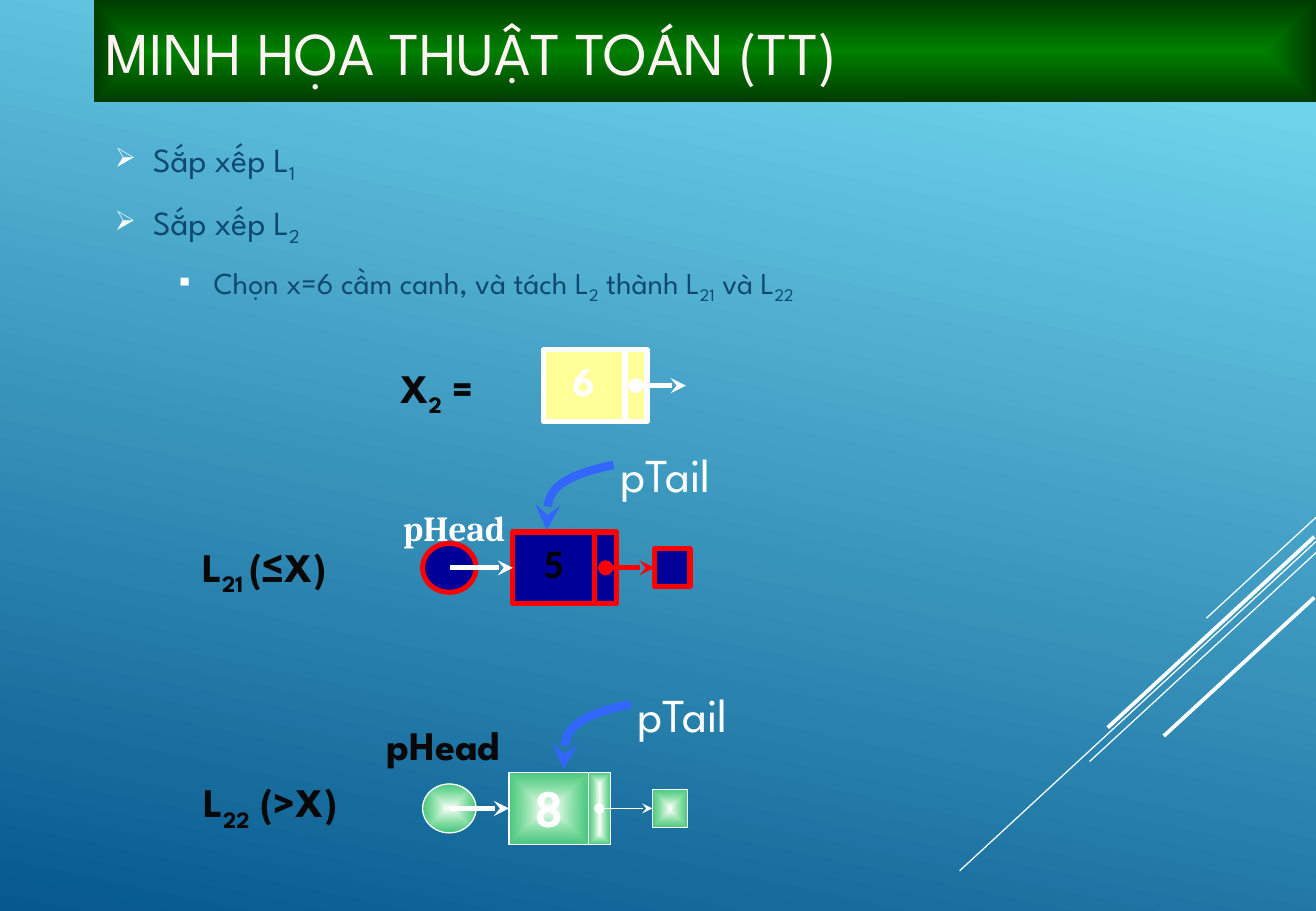
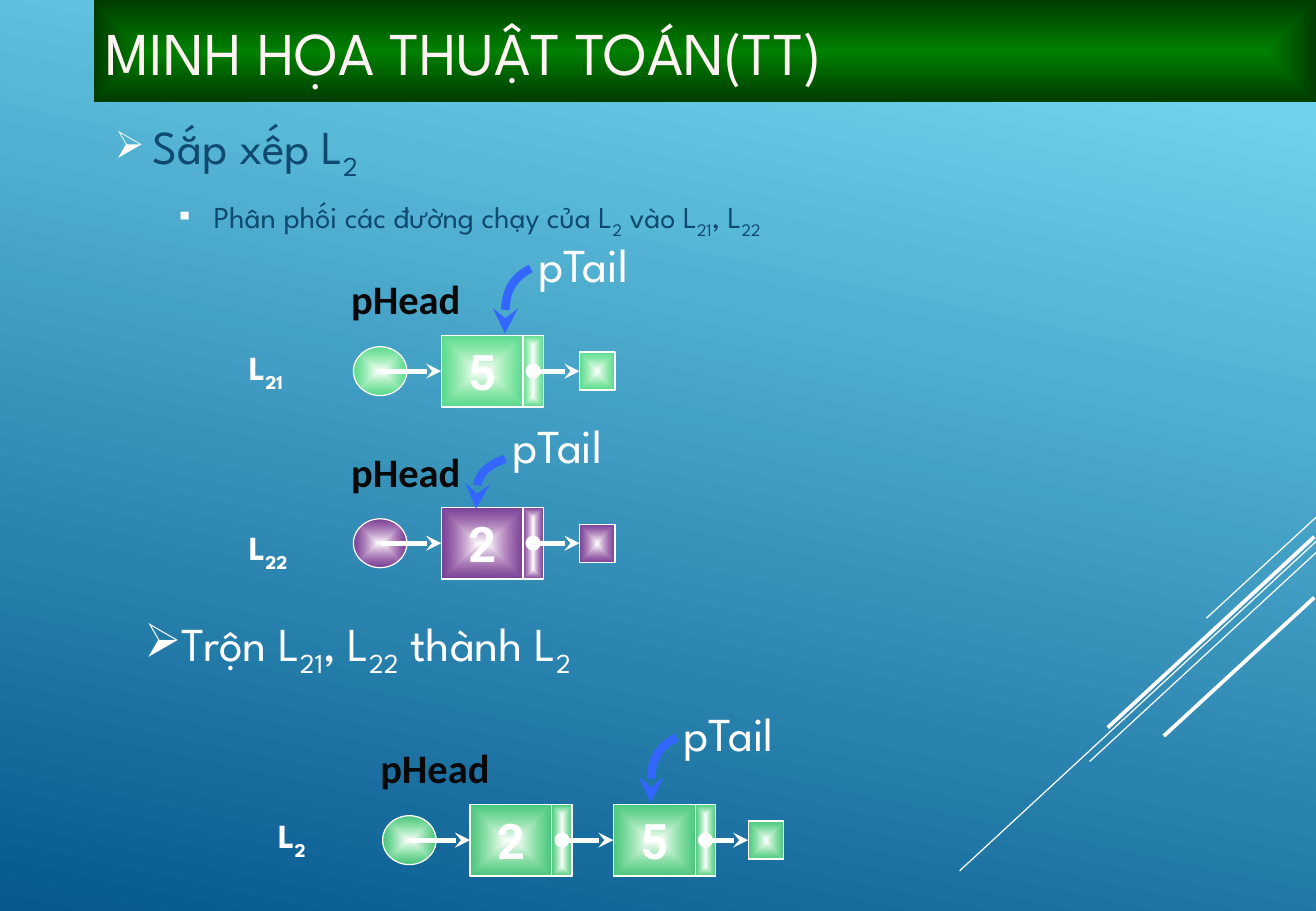
from dataclasses import dataclass
from typing import Optional

import pptx
import pptx.dml.color
import pptx.enum.shapes
import pptx.enum.text
import pptx.oxml
import pptx.oxml.ns
import pptx.util
from lxml import etree

Pt = pptx.util.Pt
RGBColor = pptx.dml.color.RGBColor
Shape = pptx.enum.shapes.MSO_SHAPE
Align = pptx.enum.text.PP_ALIGN
Anchor = pptx.enum.text.MSO_ANCHOR
qn = pptx.oxml.ns.qn

# Colours and fonts
WHITE = RGBColor(0xFF, 0xFF, 0xFF)
BLACK = RGBColor(0, 0, 0)
INK = RGBColor(0x08, 0x08, 0x08)
SKY = RGBColor(0x6E, 0xD2, 0xEB)
DEEP_BLUE = RGBColor(0x06, 0x58, 0x8E)
BODY_BLUE = RGBColor(0x0F, 0x49, 0x6F)
TITLE_PINK = RGBColor(0xFF, 0xF3, 0xF3)
BAND_GREEN = RGBColor(0, 0x80, 0)
BAND_EDGE = RGBColor(0, 0x3B, 0)
NAVY = RGBColor(0, 0, 0x99)
RED = RGBColor(0xFF, 0, 0)
YELLOW = RGBColor(0xFF, 0xFF, 0x99)
LIME = RGBColor(0x69, 0xFF, 0x69)
PURPLE = RGBColor(0xA5, 0x0E, 0x82)
CURVE_BLUE = RGBColor(0x33, 0x66, 0xFF)
SPARTAN, CALIBRI, CAMBRIA, ROBOTO = "League Spartan", "Calibri", "Cambria", "Roboto"

# Sizes shared by all list drawings
SLIDE_WIDTH, SLIDE_HEIGHT = 780, 540
CELL_HEIGHT = 42.5
CIRCLE_WIDTH, CIRCLE_HEIGHT = 31.7, 29
END_WIDTH, END_HEIGHT = 21, 22.5
HEAD_START = 16.5
DECOR_LINES = (
    (780, 306.7, 715, 366.5, 0.75), (780, 321, 568.8, 516.2, 0.75),
    (780, 327.6, 645.8, 451.4, 0.75), (779, 318.2, 656.6, 431.3, 2.25),
    (779, 354.2, 689.8, 436.3, 2.25),
)
# Control points of the pTail curve inside a unit square
CURVES = (((1, 0), (0.66, 0.07), (0.34, 0.17), (0.17, 0.34)),
          ((0.17, 0.34), (0, 0.49), (0.01, 0.74), (0.01, 1)))
CURVE_STEPS = 10


@dataclass(frozen=True)
class Look:
    fill: RGBColor
    glow: bool = False
    rim: RGBColor = WHITE
    rim_width: float = 0.75
    link_width: float = 3
    text: RGBColor = WHITE
    size: float = 29
    font: str = ROBOTO


@dataclass(frozen=True)
class Label:
    text: str
    left: float
    top: float
    width: float
    height: float
    size: float = 24
    font: str = SPARTAN
    color: RGBColor = INK
    bold: bool = True
    framed: bool = False  # default margins and left alignment


@dataclass(frozen=True)
class Tail:
    left: float
    top: float
    drop: float
    width: float
    height: float


@dataclass(frozen=True)
class ListRow:
    middle: float
    look: Look
    cells: tuple[tuple[str, float], ...]
    labels: tuple[Label, ...]
    data_width: float = 48.5
    link_width: float = 12
    circle: Optional[float] = None
    end: Optional[float] = None
    tail: Optional[Tail] = None


@dataclass(frozen=True)
class Bullet:
    text: str
    size: float
    level: int = 0


GREEN_LOOK = Look(LIME, glow=True)
THIN_LOOK = Look(LIME, glow=True, link_width=0.75)
PURPLE_LOOK = Look(PURPLE, glow=True)
YELLOW_LOOK = Look(YELLOW, rim_width=3, size=24, font=SPARTAN)
NAVY_LOOK = Look(NAVY, rim=RED, rim_width=3, text=BLACK, size=24, font=CALIBRI)


def add_text(frame, text: str, *, size: float, font: str = SPARTAN,
             color: RGBColor = WHITE, bold: bool = False, align=Align.LEFT,
             bullet: str = "", bullet_percent: int = 100, margin: float = 0,
             hang: float = 0, before: float = 0, after: float = 0) -> None:
    """Add a paragraph; every second part between bars is subscript."""
    first = not frame.paragraphs[0].runs
    para = frame.paragraphs[0] if first else frame.add_paragraph()
    para.alignment = align
    para.space_before = Pt(0 if first else before)
    para.space_after = Pt(after)
    if bullet:
        props = para._p.get_or_add_pPr()
        props.set("marL", str(Pt(margin)))
        props.set("indent", str(-Pt(hang)))
        tint = etree.SubElement(props, qn("a:buClr"))
        etree.SubElement(tint, qn("a:srgbClr"), val=str(WHITE))
        etree.SubElement(props, qn("a:buSzPct"), val=str(bullet_percent * 1000))
        etree.SubElement(props, qn("a:buChar"), char=bullet)
    for index, part in enumerate(text.split("|")):
        if not part:
            continue
        span = para.add_run()
        span.text = part
        span.font.size, span.font.name, span.font.bold = Pt(size), font, bold
        span.font.color.rgb = color
        if index % 2:
            span._r.get_or_add_rPr().set("baseline", "-25000")


def fill_glow(shape, center: RGBColor, edge: RGBColor, edge_alpha: int = 100) -> None:
    """Fill from the centre outwards."""
    shape.fill.gradient()
    for stop, color, position in zip(shape.fill.gradient_stops, (center, edge), (0, 1)):
        stop.color.rgb, stop.position = color, position
    gradient = shape.element.spPr.find(qn("a:gradFill"))
    if edge_alpha < 100:
        tint = gradient.findall(".//" + qn("a:srgbClr"))[-1]
        etree.SubElement(tint, qn("a:alpha"), val=str(edge_alpha * 1000))
    gradient.remove(gradient.find(qn("a:lin")))
    route = etree.SubElement(gradient, qn("a:path"), path="shape")
    etree.SubElement(route, qn("a:fillToRect"), l="50000", t="50000", r="50000", b="50000")


def add_arrowheads(item, head: str = "", tail: str = "") -> None:
    outline = item.element.spPr.find(qn("a:ln"))
    for tag, kind in (("a:headEnd", head), ("a:tailEnd", tail)):
        if kind:
            etree.SubElement(outline, qn(tag), type=kind)


def add_line(page, x1: float, y1: float, x2: float, y2: float, *, width: float,
             color: RGBColor = WHITE, head: str = "", tail: str = "", target=None):
    line = page.shapes.add_connector(pptx.enum.shapes.MSO_CONNECTOR.STRAIGHT,
                                     Pt(x1), Pt(y1), Pt(x2), Pt(y2))
    if target is not None:
        line.end_connect(target, 1)
    line.line.color.rgb, line.line.width = color, Pt(width)
    add_arrowheads(line, head, tail)
    etree.SubElement(line.element.spPr, qn("a:effectLst"))


def add_box(page, kind, left: float, middle: float, width: float, height: float, look: Look):
    """Add a list part centred on the row's middle line."""
    box = page.shapes.add_shape(kind, Pt(left), Pt(middle - height / 2), Pt(width), Pt(height))
    box.shadow.inherit = False
    if look.glow:
        fill_glow(box, WHITE, look.fill, 60)
    else:
        box.fill.solid()
        box.fill.fore_color.rgb = look.fill
    box.line.color.rgb, box.line.width = look.rim, Pt(look.rim_width)
    return box


def add_frame(page, left: float, top: float, width: float, height: float):
    frame = page.shapes.add_textbox(Pt(left), Pt(top), Pt(width), Pt(height)).text_frame
    frame.word_wrap = True
    return frame


def add_label(page, label: Label) -> None:
    frame = add_frame(page, label.left, label.top, label.width, label.height)
    if not label.framed:
        frame.margin_left = frame.margin_right = frame.margin_top = frame.margin_bottom = 0
    add_text(frame, label.text, size=label.size, font=label.font, color=label.color,
             bold=label.bold, align=Align.LEFT if label.framed else Align.CENTER)


def add_tail(page, tail: Tail) -> None:
    add_label(page, Label("pTail", tail.left, tail.top, 62, 31, 28, color=WHITE, bold=False))
    points = []
    for controls in CURVES:
        for step in range(CURVE_STEPS + 1):
            t = step / CURVE_STEPS
            weights = ((1 - t) ** 3, 3 * t * (1 - t) ** 2, 3 * t * t * (1 - t), t ** 3)
            x, y = (sum(w * c[axis] for w, c in zip(weights, controls)) for axis in (0, 1))
            points.append((Pt(tail.left + (x - 1) * tail.width),
                           Pt(tail.top + tail.drop + y * tail.height)))
    builder = page.shapes.build_freeform(*points[0])
    builder.add_line_segments(points[1:], close=False)
    curve = builder.convert_to_shape()
    curve.shadow.inherit = False
    curve.fill.background()
    curve.line.color.rgb, curve.line.width = CURVE_BLUE, Pt(5)
    add_arrowheads(curve, tail="stealth")


def add_row(page, row: ListRow) -> None:
    look, middle = row.look, row.middle
    stops = []
    for value, left in row.cells:
        add_box(page, Shape.RECTANGLE, left + row.data_width, middle,
                row.link_width, CELL_HEIGHT, look)
        data = add_box(page, Shape.RECTANGLE, left, middle, row.data_width, CELL_HEIGHT, look)
        data.text_frame.vertical_anchor = Anchor.TOP
        add_text(data.text_frame, value, size=look.size, font=look.font,
                 color=look.text, bold=True, align=Align.CENTER)
        stops.append(data)
    if row.end is not None:
        stops.append(add_box(page, Shape.RECTANGLE, row.end, middle, END_WIDTH, END_HEIGHT, look))
    if row.circle is not None:
        add_box(page, Shape.OVAL, row.circle, middle, CIRCLE_WIDTH, CIRCLE_HEIGHT, look)
        add_line(page, row.circle + HEAD_START, middle, row.cells[0][1], middle,
                 width=3, tail="stealth", target=stops[0])
    for index, (_, left) in enumerate(row.cells):
        start = left + row.data_width + row.link_width / 2
        target = stops[index + 1] if index + 1 < len(stops) else None
        add_line(page, start, middle, start + 29.5, middle, width=look.link_width,
                 color=look.rim, head="oval", tail="stealth", target=target)
    for label in row.labels:
        add_label(page, label)
    if row.tail:
        add_tail(page, row.tail)


def add_page(deck, title: str, body_height: float, bullets: list[Bullet], rows: list[ListRow]):
    page = deck.slides.add_slide(deck.slide_layouts[6])
    for x1, y1, x2, y2, width in DECOR_LINES:
        add_line(page, x1, y1, x2, y2, width=width)
    # Title band
    band = page.shapes.add_shape(Shape.RECTANGLE, Pt(55.5), 0, Pt(SLIDE_WIDTH - 55.5), Pt(60.5))
    band.shadow.inherit = False
    band.line.fill.background()
    fill_glow(band, BAND_GREEN, BAND_EDGE)
    band.text_frame.vertical_anchor = Anchor.MIDDLE
    add_text(band.text_frame, title, size=36, color=TITLE_PINK)
    # Body bullets
    frame = add_frame(page, 61, 60.5, 718.5, body_height)
    frame.vertical_anchor = Anchor.MIDDLE
    for item in bullets:
        add_text(frame, item.text, size=item.size, color=BODY_BLUE, bullet="➢▪"[item.level],
                 bullet_percent=80, margin=22.5 + 36 * item.level, hang=22.5,
                 before=item.size * 0.2, after=6)
    for row in rows:
        add_row(page, row)
    return page


def main() -> None:
    deck = pptx.Presentation()
    deck.slide_width, deck.slide_height = Pt(SLIDE_WIDTH), Pt(SLIDE_HEIGHT)
    # Shared background
    backdrop = deck.slide_master.background.fill
    backdrop.gradient()
    backdrop.gradient_angle = 360 - 102
    for stop, color, position in zip(backdrop.gradient_stops, (SKY, DEEP_BLUE), (0.1, 1)):
        stop.color.rgb, stop.position = color, position

    # Splitting L2
    add_page(deck, "MINH HỌA THUẬT TOÁN (TT)", 142, [
        Bullet("Sắp xếp L|1", 20), Bullet("Sắp xếp L|2", 20),
        Bullet("Chọn x=6 cầm canh, và tách L|2| thành L|21| và L|22", 18, 1),
    ], [
        ListRow(228.6, YELLOW_LOOK, (("6", 322),), (Label("X|2| =", 228, 215.3, 62, 31),),
                link_width=13),
        ListRow(336.6, NAVY_LOOK, (("5", 304),),
                (Label("L|21 |(≤X)", 103.7, 321, 106, 32.5),
                 Label("|pHead", 215.3, 275.8, 108, 51, 36, CAMBRIA, WHITE)),
                link_width=13, circle=250.5, end=388, tail=Tail(363.6, 264.2, 11.5, 40, 38.5)),
        ListRow(479.2, THIN_LOOK, (("8", 301.7),),
                (Label("L|22| (>X)", 107.3, 460.8, 106, 29.5),
                 Label("pHead", 220.3, 427, 85, 34)),
                data_width=47, link_width=13, circle=250.5, end=386.6,
                tail=Tail(373.7, 406, 11.5, 40, 38.5)),
    ])

    # Distributing and merging
    page = add_page(deck, "MINH HỌA THUẬT TOÁN(TT)", 90.7, [
        Bullet("Sắp xếp L|2", 28),
        Bullet("Phân phối các đường chạy của L|2| vào L|21|, L|22", 18, 1),
    ], [
        ListRow(220, GREEN_LOOK, (("5", 261.5),),
                (Label("pHead", 198, 162.7, 85, 33, font=CALIBRI),
                 Label("L|21", 140.4, 202.3, 51, 31, 20, color=WHITE, framed=True)),
                circle=209.5, end=343.5, tail=Tail(314.6, 139.7, 19.5, 15.5, 38.5)),
        ListRow(322, PURPLE_LOOK, (("2", 261.5),),
                (Label("pHead", 198, 265, 85, 33, font=CALIBRI),
                 Label("L|22", 140.4, 309, 51, 31, 20, color=WHITE, framed=True)),
                circle=209.5, end=343.5, tail=Tail(299.5, 247, 25, 17.5, 29.5)),
        ListRow(498, GREEN_LOOK, (("2", 278.6), ("5", 363.6)),
                (Label("pHead", 215.3, 440.6, 85, 33, font=CALIBRI),
                 Label("L|2", 157.7, 479.5, 51, 31, 20, color=WHITE, framed=True)),
                circle=226.8, end=443.5, tail=Tail(401, 417.6, 19.5, 15.5, 38.5)),
    ])
    add_text(add_frame(page, 78.5, 360.7, 641, 41), "Trộn L|21|, L|22| thành L|2",
             size=28, bullet="➢")
    deck.save("out.pptx")


if __name__ == "__main__":
    main()
